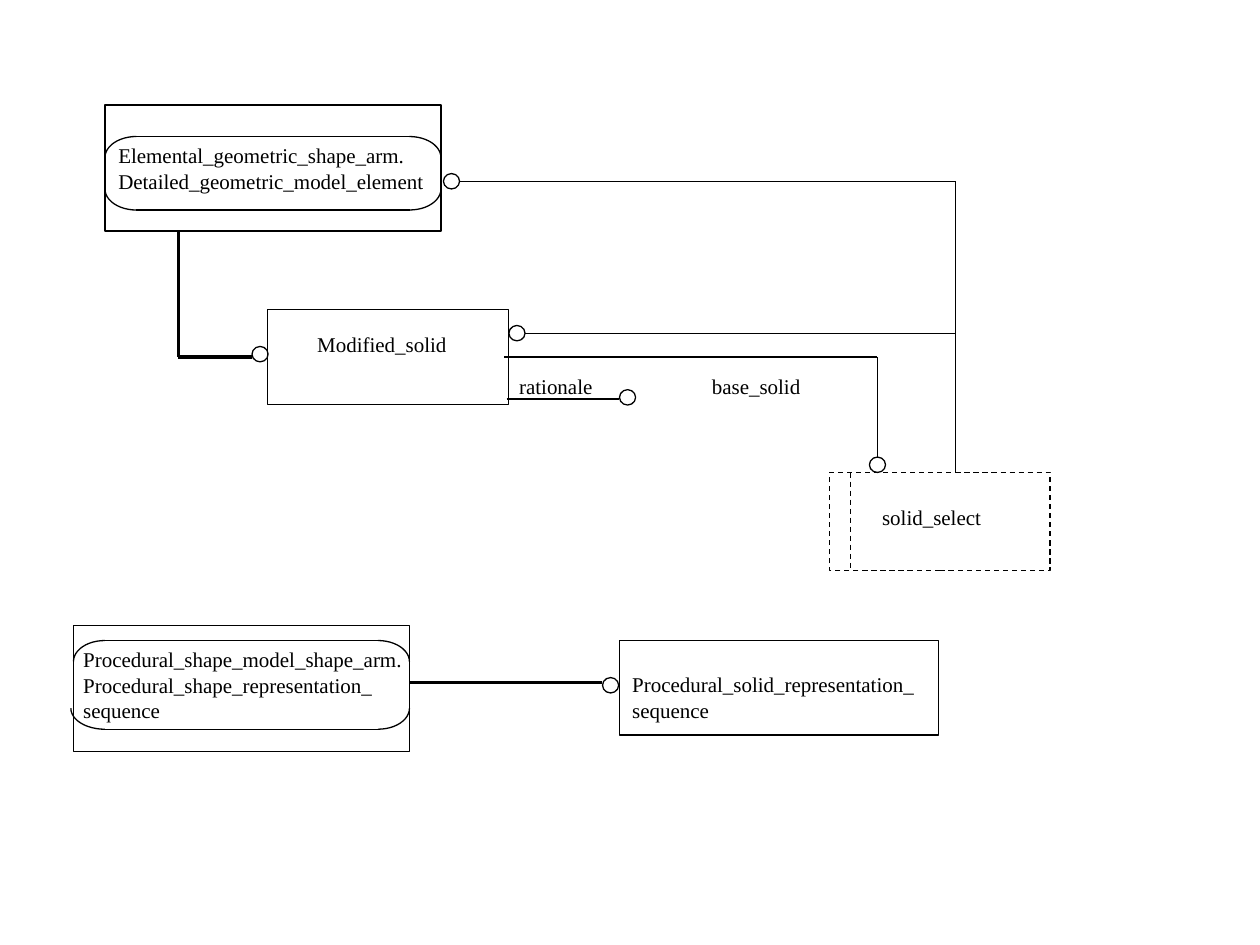
from dataclasses import dataclass
from typing import NamedTuple

import pptx
import pptx.dml.color
import pptx.enum.dml
import pptx.enum.shapes
import pptx.enum.text
import pptx.util
from lxml import etree

Pt = pptx.util.Pt
Shapes = pptx.enum.shapes.MSO_SHAPE


@dataclass(frozen=True)
class Theme:
    ink: pptx.dml.color.RGBColor = pptx.dml.color.RGBColor(0, 0, 0)
    font: str = "Times New Roman"
    text_size: float = 12
    thin: float = 0.75
    thick: float = 2.25
    circle_width: float = 9.2
    circle_height: float = 8.8
    corner_width: float = 36
    corner_height: float = 24


THEME = Theme()


class Box(NamedTuple):
    left: float
    top: float
    width: float
    height: float
    dashed: bool = False


class Pill(NamedTuple):
    """Rounded page reference; bulge pushes its lower left corner outwards."""
    left: float
    top: float
    width: float
    height: float
    bulge: float = 0


class Link(NamedTuple):
    x1: float
    y1: float
    x2: float
    y2: float
    weight: float = THEME.thin
    dashed: bool = False


class Label(NamedTuple):
    left: float
    top: float
    width: float
    height: float
    lines: tuple[str, ...]
    wrap: bool = False


BOXES = [
    Box(60, 60, 192, 72),             # Detailed_geometric_model_element
    Box(153, 177, 137.7, 54),         # Modified_solid
    Box(474, 270, 126, 56, True),     # solid_select
    Box(42, 357.6, 192, 72),          # Procedural_shape_representation_sequence
    Box(354, 366, 182.3, 54),         # Procedural_solid_representation_sequence
]

PILLS = [Pill(60, 78, 192, 42), Pill(42, 366, 192, 50.7, 1.5)]

LINKS = [
    Link(102, 132, 102, 204, THEME.thick),
    Link(102, 204, 144, 204, THEME.thick),
    Link(234, 390, 344, 390, THEME.thick),
    Link(263, 103.6, 546, 103.6),
    Link(300, 190.5, 546, 190.5),
    Link(546, 103.6, 546, 270),
    Link(288, 204, 501.3, 204),
    Link(501.3, 204, 501.3, 261.5),
    Link(289.5, 228, 354, 228),
    Link(486, 270, 486, 326, dashed=True),
]

CIRCLES = [(144, 198), (253.4, 99.2), (290.8, 186), (354, 222.7),
           (344.3, 387.2), (496.8, 261.2)]

LABELS = [
    Label(60.5, 78.2, 190, 36,
          ("Elemental_geometric_shape_arm.", "Detailed_geometric_model_element")),
    Label(174.2, 186, 90, 21.5, ("Modified_solid",)),
    Label(289.6, 210, 58, 21.5, ("rationale",)),
    Label(399.7, 210, 66, 21.5, ("base_solid",)),
    Label(497, 285, 72, 21.5, ("solid_select",)),
    Label(40.5, 366.2, 197, 50.5,
          ("Procedural_shape_model_shape_arm.", "Procedural_shape_representation_",
           "sequence"), True),
    Label(354.2, 380.4, 177, 36, ("Procedural_solid_representation_", "sequence")),
]


def style_line(line, weight: float = THEME.thin, dashed: bool = False) -> None:
    line.color.rgb = THEME.ink
    line.width = Pt(weight)
    if dashed:
        line.dash_style = pptx.enum.dml.MSO_LINE.DASH


def draw_outline(page, kind, left: float, top: float, width: float,
                 height: float, dashed: bool = False):
    shape = page.shapes.add_shape(kind, Pt(left), Pt(top), Pt(width), Pt(height))
    shape.shadow.inherit = False
    shape.fill.background()
    style_line(shape.line, dashed=dashed)
    return shape


def draw_link(page, link: Link) -> None:
    connector = page.shapes.add_connector(
        pptx.enum.shapes.MSO_CONNECTOR.STRAIGHT,
        Pt(link.x1), Pt(link.y1), Pt(link.x2), Pt(link.y2))
    style_line(connector.line, link.weight, link.dashed)
    properties = connector._element.spPr
    etree.SubElement(properties, pptx.oxml.ns.qn("a:effectLst"))


def draw_corner(page, left: float, top: float, start_degrees: float,
                bulge: float = 0) -> None:
    """Draw a quarter ellipse running clockwise from start_degrees."""
    arc = draw_outline(page, Shapes.ARC, left - bulge, top,
                       THEME.corner_width + 2 * bulge, THEME.corner_height)
    # An angle unit is 1/60000 degree; adjustments count in 100000 units.
    arc.adjustments[0] = start_degrees * 0.6
    arc.adjustments[1] = (start_degrees + 90) % 360 * 0.6


def draw_pill(page, pill: Pill) -> None:
    right, bottom = pill.left + pill.width, pill.top + pill.height
    inset = THEME.corner_width / 2
    for y in (pill.top, bottom):
        draw_link(page, Link(pill.left + inset, y, right - inset, y))
    right_corner = right - THEME.corner_width
    low_corner = bottom - THEME.corner_height
    draw_corner(page, pill.left, pill.top, 180)
    draw_corner(page, right_corner, pill.top, 270)
    draw_corner(page, right_corner, low_corner, 0)
    draw_corner(page, pill.left, low_corner, 90, pill.bulge)


def draw_label(page, label: Label) -> None:
    box = page.shapes.add_textbox(Pt(label.left), Pt(label.top),
                                  Pt(label.width), Pt(label.height))
    frame = box.text_frame
    frame.word_wrap = label.wrap
    frame.auto_size = pptx.enum.text.MSO_AUTO_SIZE.SHAPE_TO_FIT_TEXT
    frame.text = "\n".join(label.lines)
    for para in frame.paragraphs:
        para.font.name = THEME.font
        para.font.size = Pt(THEME.text_size)
        para.font.color.rgb = THEME.ink


def main() -> None:
    deck = pptx.Presentation()
    deck.slide_width, deck.slide_height = Pt(720), Pt(540)
    page = deck.slides.add_slide(deck.slide_layouts[6])
    for box in BOXES:
        draw_outline(page, Shapes.RECTANGLE, *box)
    for pill in PILLS:
        draw_pill(page, pill)
    for link in LINKS:
        draw_link(page, link)
    for left, top in CIRCLES:
        draw_outline(page, Shapes.OVAL, left, top,
                     THEME.circle_width, THEME.circle_height)
    for label in LABELS:
        draw_label(page, label)
    deck.save("out.pptx")


if __name__ == "__main__":
    main()
